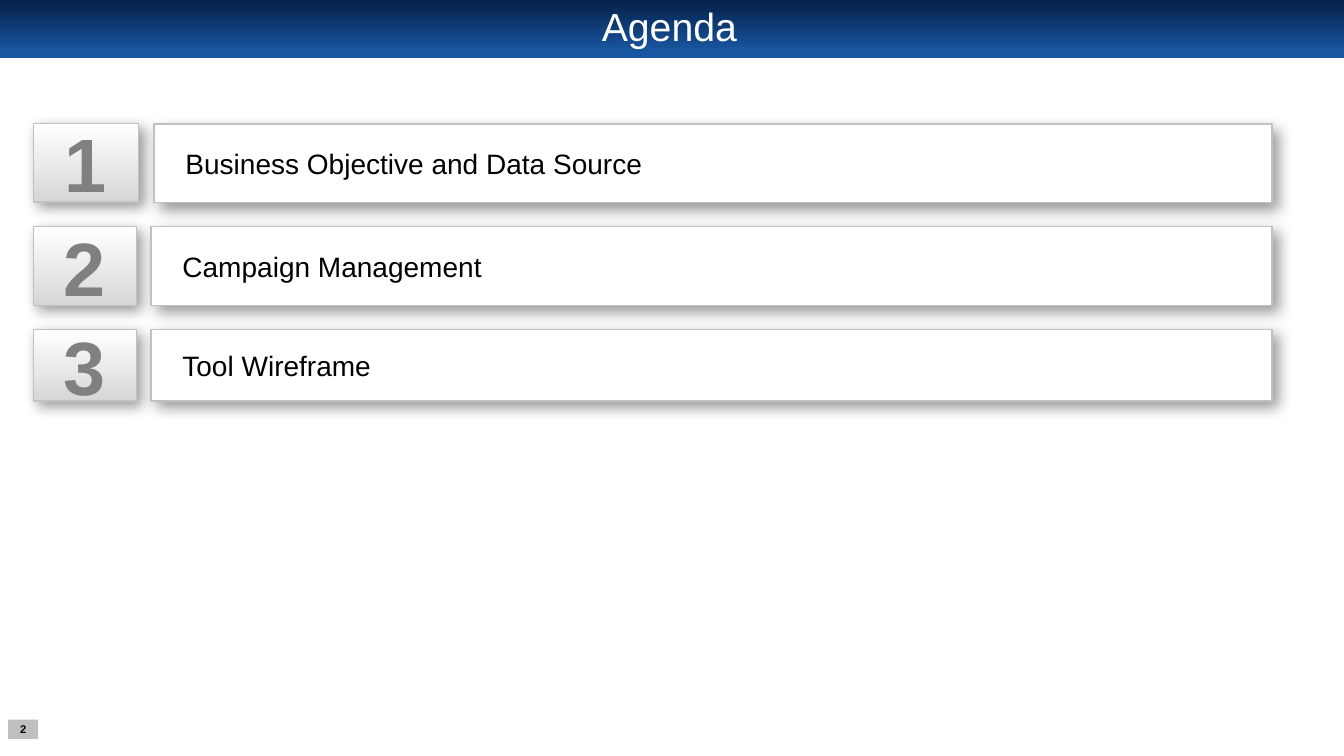
from lxml import etree
from pptx import Presentation
from pptx import util as u
from pptx.dml.color import RGBColor
from pptx.enum import shapes, text
from pptx.oxml import ns

WHITE = RGBColor(0xFF, 0xFF, 0xFF)
BLACK = RGBColor(0x00, 0x00, 0x00)
NAVY = RGBColor(0x05, 0x20, 0x49)
BLUE = RGBColor(0x19, 0x57, 0xA3)
SILVER = RGBColor(0xD7, 0xD7, 0xD7)
EDGE = RGBColor(0xC0, 0xC0, 0xC0)
BADGE = RGBColor(0xBF, 0xBF, 0xBF)
GRAY = RGBColor(0x80, 0x80, 0x80)

CENTER = text.PP_ALIGN.CENTER
LEFT = text.PP_ALIGN.LEFT
RECTANGLE = shapes.MSO_SHAPE.RECTANGLE
ROUNDED = shapes.MSO_SHAPE.ROUNDED_RECTANGLE


class AgendaSlide:
    COLUMNS = 160
    ROWS = 90
    FONT = "Arial"

    def __init__(self, deck):
        self.page = deck.slides.add_slide(deck.slide_layouts[6])
        self.column = deck.slide_width / self.COLUMNS
        self.row = deck.slide_height / self.ROWS

    def place(self, left, top, width, height):
        return [round(size * unit) for size, unit in
                zip((left, top, width, height), (self.column, self.row) * 2)]

    def panel(self, at, fill, kind=RECTANGLE):
        box = self.page.shapes.add_shape(kind, *self.place(*at))
        box.shadow.inherit = False
        box.line.fill.background()
        if isinstance(fill, RGBColor):
            box.fill.solid()
            box.fill.fore_color.rgb = fill
        else:
            self.gradient(box, *fill)
        return box

    def gradient(self, box, angle, *stops):
        box.fill.gradient()
        box.fill.gradient_angle = angle
        for stop, (position, color) in zip(box.fill.gradient_stops, stops):
            stop.position = position
            stop.color.rgb = color

    def raised(self, at, fill):
        box = self.panel(at, fill)
        box.line.color.rgb = EDGE
        box.line.width = u.Pt(1)
        effects = box._element.spPr.find(ns.qn("a:effectLst"))
        shadow = etree.SubElement(
            effects, ns.qn("a:outerShdw"), blurRad=str(u.Pt(10)),
            dist=str(u.Pt(5)), dir="2700000", algn="tl", rotWithShape="0")
        color = etree.SubElement(shadow, ns.qn("a:srgbClr"), val=str(BLACK))
        etree.SubElement(color, ns.qn("a:alpha"), val="40000")
        return box

    def label(self, box, words, size, color, bold=False, align=CENTER,
              margins=(0, 0, 0, 0), wrap=True, spacing=1.0):
        left, top, right, bottom = self.place(*margins)
        frame = box.text_frame
        frame_format = {
            "margin_left": left, "margin_top": top,
            "margin_right": right, "margin_bottom": bottom,
            "word_wrap": wrap, "vertical_anchor": text.MSO_ANCHOR.MIDDLE}
        for name, value in frame_format.items():
            setattr(frame, name, value)
        para = frame.paragraphs[0]
        para.alignment = align
        para.line_spacing = spacing
        span = para.add_run()
        span.text = words
        span_format = {"name": self.FONT, "size": u.Pt(size), "bold": bold}
        for name, value in span_format.items():
            setattr(span.font, name, value)
        span.font.color.rgb = color

    def banner(self, title):
        band = self.panel((0, 0, self.COLUMNS, 6.96),
                          (270, (0, NAVY), (0.9, BLUE)), ROUNDED)
        band.adjustments[0] = 0
        box = self.page.shapes.add_textbox(*self.place(7.92, 0.72, 143.52, 5.4))
        self.label(box, title, 28, WHITE, margins=(1.2, 0.6, 1.2, 0.6),
                   spacing=0.9)

    def item(self, number, words, top, height, tile_width, bar_left, bar_drop):
        tile = self.raised((4, top, tile_width, height),
                           (90, (0, SILVER), (1, WHITE)))
        self.label(tile, str(number), 54, GRAY, bold=True)
        bar = self.raised((bar_left, top + bar_drop, 151.44 - bar_left, height),
                          WHITE)
        self.label(bar, words, 20, BLACK, align=LEFT,
                   margins=(3.72, 0.48, 2.88, 0.48))

    def page_number(self, number):
        badge = self.panel((0.96, 85.68, 3.6, 2.28), BADGE)
        self.label(badge, str(number), 8, BLACK, bold=True, wrap=False)


def main():
    deck = Presentation()
    deck.slide_width = u.Inches(13.33)
    deck.slide_height = u.Inches(7.5)
    agenda = AgendaSlide(deck)
    agenda.banner("Agenda")
    items = [
        ("Business Objective and Data Source", 14.68, 9.36, 12.48, 18.36, 0.08),
        ("Campaign Management", 27, 9.36, 12.24, 18, 0),
        ("Tool Wireframe", 39.24, 8.52, 12.24, 18, 0)]
    for number, item in enumerate(items, 1):
        agenda.item(number, *item)
    agenda.page_number(2)
    deck.save("out.pptx")


if __name__ == "__main__":
    main()
